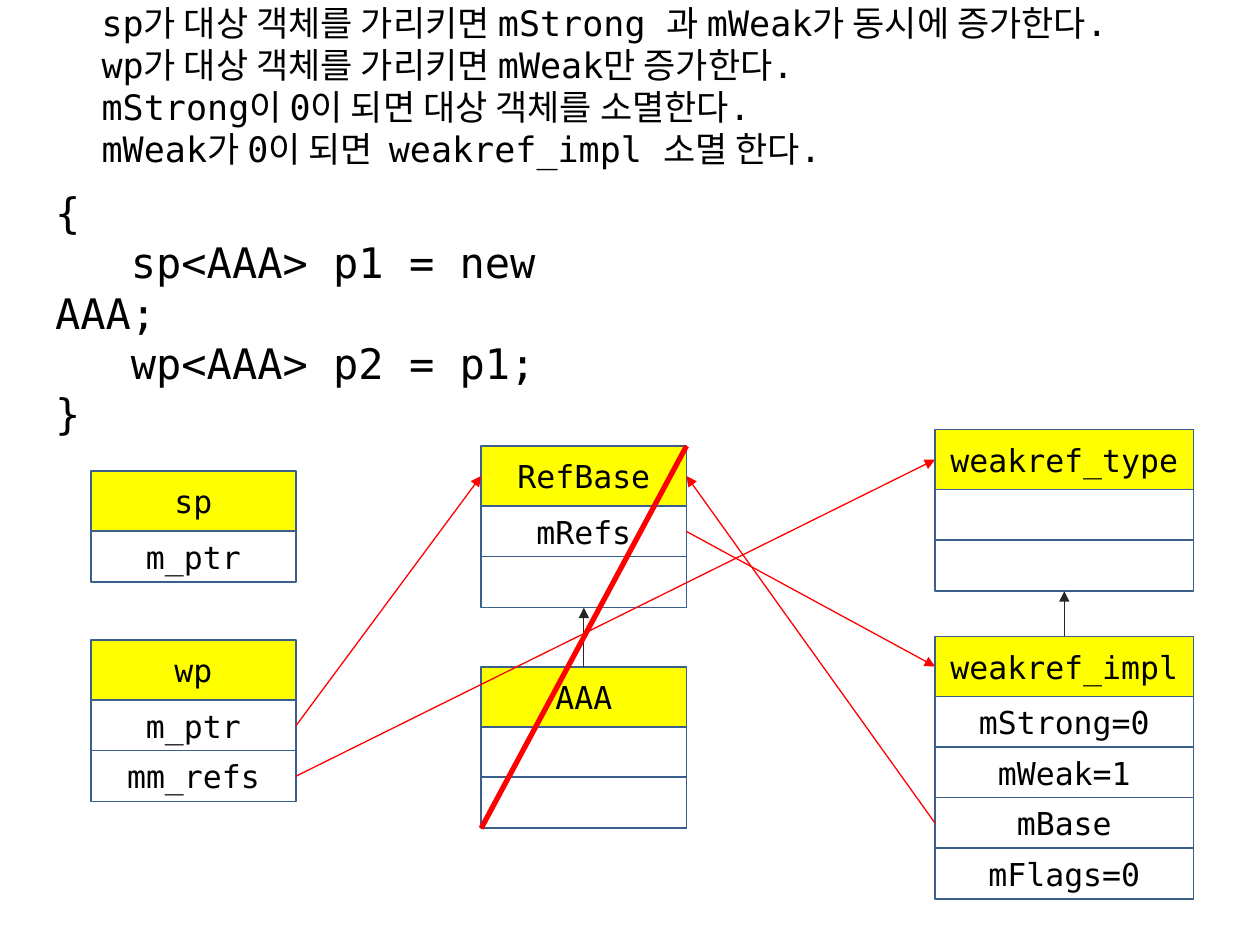
from pptx import Presentation
from pptx.dml.color import RGBColor
from pptx.enum.shapes import MSO_CONNECTOR as Connector, MSO_SHAPE as Preset
from pptx.enum.text import MSO_ANCHOR as Anchor, PP_ALIGN as Align
from pptx.oxml.ns import qn
from pptx.util import Cm, Pt
from lxml.etree import SubElement

BLACK = RGBColor(0x00, 0x00, 0x00)
WHITE = RGBColor(0xFF, 0xFF, 0xFF)
YELLOW = RGBColor(0xFF, 0xFF, 0x00)
NAVY = RGBColor(0x3A, 0x5F, 0x8C)
DARK = RGBColor(0x26, 0x26, 0x26)
RED = RGBColor(0xFF, 0x00, 0x00)

TOP, LEFT, BOTTOM, RIGHT = range(4)


def write(paragraph, text, *, size, font, color=BLACK, align=Align.LEFT, indent=0):
    paragraph.alignment = align
    if indent:
        properties = paragraph._p.get_or_add_pPr()
        properties.set("marL", "0")
        properties.set("indent", str(Cm(indent)))
    run = paragraph.add_run()
    run.text = text
    run.font.size = Pt(size)
    run.font.name = font
    run.font.color.rgb = color


class Diagram:
    font = "DejaVu Sans Mono"
    header_height = 1.21
    row_height = 1.03
    row_pitch = 1.02

    def __init__(self, slide):
        self.slide = slide

    def text(self, left, top, width, height, lines, size):
        shape = self.slide.shapes.add_textbox(Cm(left), Cm(top), Cm(width), Cm(height))
        frame = shape.text_frame
        frame.word_wrap = True
        for number, (line, indent) in enumerate(lines):
            paragraph = frame.add_paragraph() if number else frame.paragraphs[0]
            write(paragraph, line, size=size, font=self.font, indent=indent)

    def cell(self, left, top, width, height, label, fill):
        shape = self.slide.shapes.add_shape(
            Preset.RECTANGLE, Cm(left), Cm(top), Cm(width), Cm(height))
        shape.shadow.inherit = False
        shape.fill.solid()
        shape.fill.fore_color.rgb = fill
        shape.line.color.rgb = NAVY
        shape.line.width = Pt(1)
        if label:
            frame = shape.text_frame
            frame.vertical_anchor = Anchor.MIDDLE
            write(frame.paragraphs[0], label, size=18, font=self.font, align=Align.CENTER)
        return shape

    def record(self, left, top, width, name, *fields):
        header = self.cell(left, top, width, self.header_height, name, YELLOW)
        first = top + self.header_height
        rows = [
            self.cell(left, first + index * self.row_pitch, width, self.row_height, field, WHITE)
            for index, field in enumerate(fields)
        ]
        return [header, *rows]

    def line(self, start, end, color, width):
        connector = self.slide.shapes.add_connector(Connector.STRAIGHT, *start, *end)
        connector.line.color.rgb = color
        connector.line.width = Pt(width)
        SubElement(connector._element.spPr, qn("a:effectLst"))
        return connector

    def arrow(self, source, source_side, target, target_side, color=RED):
        connector = self.line((0, 0), (0, 0), color, 0.75)
        connector.begin_connect(source, source_side)
        connector.end_connect(target, target_side)
        SubElement(connector.line._get_or_add_ln(), qn("a:tailEnd"), type="triangle")


def main():
    presentation = Presentation()
    presentation.slide_width = Cm(25.4)
    presentation.slide_height = Cm(19.05)
    diagram = Diagram(presentation.slides.add_slide(presentation.slide_layouts[6]))

    diagram.text(1.8, -0.1, 23.06, 5.38, [
        ("sp가 대상 객체를 가리키면 mStrong 과 mWeak가 동시에 증가한다.", 0),
        ("wp가 대상 객체를 가리키면 mWeak만 증가한다.", 0),
        ("mStrong이 0이 되면 대상 객체를 소멸한다.", 0),
        ("mWeak가 0이 되면  weakref_impl 소멸 한다.", 0),
    ], size=20)
    diagram.text(0.86, 3.63, 11.84, 6.4, [
        ("{", 0),
        ("sp<AAA> p1 = new AAA;", 1.53),
        ("wp<AAA> p2 = p1;", 1.53),
        ("}", 0),
    ], size=24)

    diagram.record(1.83, 9.5, 4.14, "sp", "m_ptr")
    weak_pointer = diagram.record(1.83, 12.9, 4.14, "wp", "m_ptr", "mm_refs")
    base = diagram.record(9.7, 8.99, 4.14, "RefBase", "mRefs", "")
    derived = diagram.record(9.7, 13.44, 4.14, "AAA", "", "")
    weak_type = diagram.record(18.85, 8.66, 5.21, "weakref_type", "", "")
    weak_impl = diagram.record(
        18.85, 12.83, 5.21, "weakref_impl", "mStrong=0", "mWeak=1", "mBase", "mFlags=0")

    diagram.arrow(derived[0], TOP, base[-1], BOTTOM, DARK)
    diagram.arrow(weak_impl[0], TOP, weak_type[-1], BOTTOM, DARK)
    diagram.arrow(weak_impl[3], LEFT, base[0], RIGHT)
    diagram.arrow(base[1], RIGHT, weak_impl[0], LEFT)
    diagram.arrow(weak_pointer[1], RIGHT, base[0], LEFT)
    diagram.arrow(weak_pointer[2], RIGHT, weak_type[0], LEFT)

    head, foot = base[0], derived[-1]
    diagram.line(
        (head.left + head.width, head.top), (foot.left, foot.top + foot.height), RED, 3)

    presentation.save("out.pptx")


if __name__ == "__main__":
    main()
